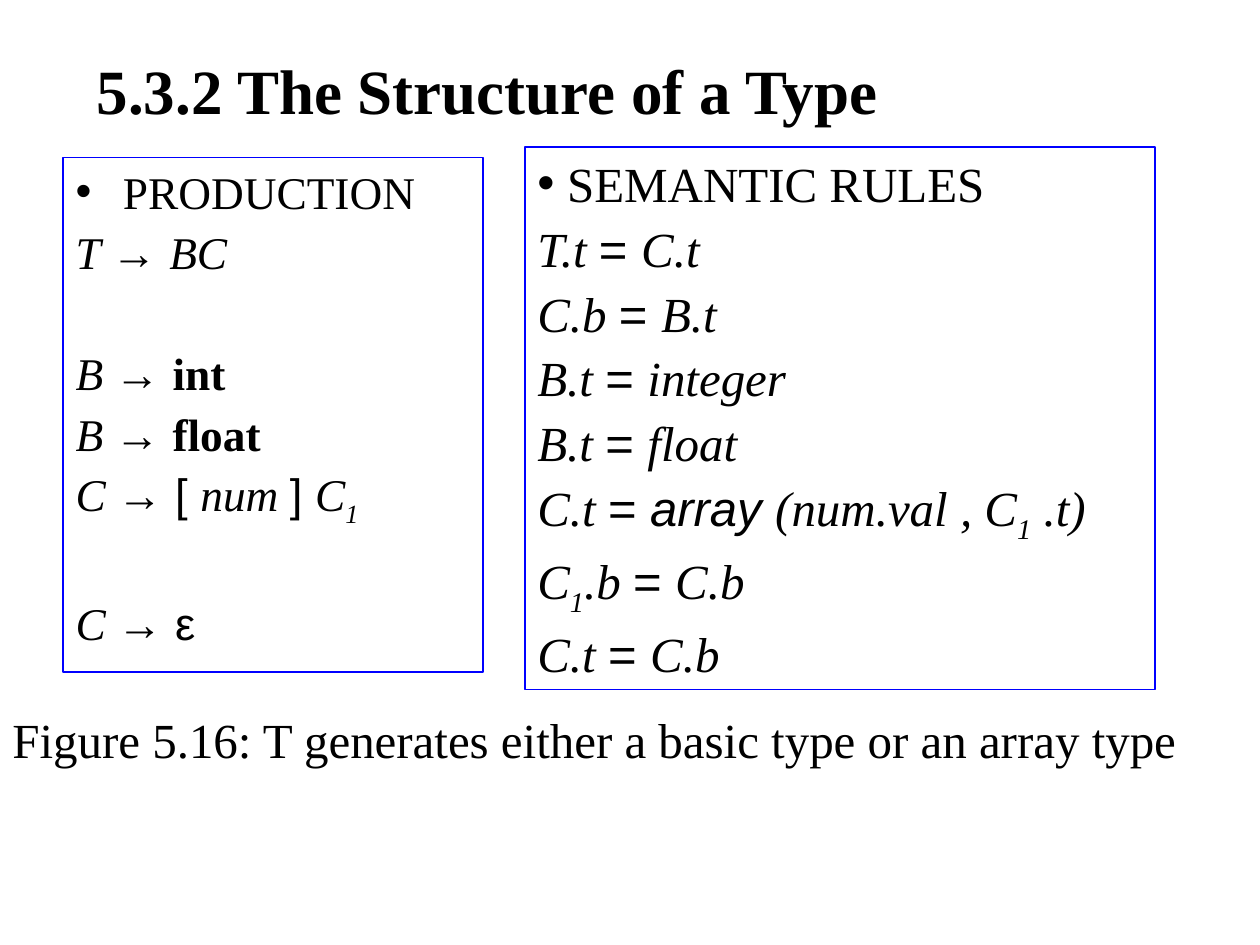
from lxml.etree import SubElement
from pptx import Presentation
from pptx.dml.color import RGBColor
from pptx.enum.text import MSO_ANCHOR, MSO_AUTO_SIZE, PP_ALIGN
from pptx.oxml.ns import qn
from pptx.util import Pt

BLACK = RGBColor(0, 0, 0)
BLUE = RGBColor(0, 0, 255)
SERIF = "Times New Roman"
SANS = "Arial"

# Span styles: font, italic, bold, subscript
TEXT = (SERIF, False, False, False)
SYMBOL = (SANS, False, False, False)
WORD = (SANS, True, False, False)
VARIABLE = (SERIF, True, False, False)
KEYWORD = (SERIF, False, True, False)
INDEX = (SERIF, True, False, True)

ARROW = ("→ ", SYMBOL)
EQUALS = ("= ", SYMBOL)


def rule(left, right):
    return [(left + " ", VARIABLE), EQUALS, (right, VARIABLE)]


PRODUCTIONS = [
    [("PRODUCTION", TEXT)],
    [("T ", VARIABLE), ARROW, ("BC", VARIABLE)],
    [("B ", VARIABLE), ARROW, ("int", KEYWORD)],
    [("B ", VARIABLE), ARROW, ("float", KEYWORD)],
    [("C ", VARIABLE), ("→ [ ", SYMBOL), ("num ", VARIABLE), ("] ", SYMBOL),
     ("C", VARIABLE), ("1", INDEX)],
    [("C ", VARIABLE), ("→ ε", SYMBOL)],
]
SEMANTIC_RULES = [
    [("SEMANTIC RULES", TEXT)],
    rule("T.t", "C.t"),
    rule("C.b", "B.t"),
    rule("B.t", "integer"),
    rule("B.t", "float"),
    [("C.t ", VARIABLE), EQUALS, ("array ", WORD), ("(num.val , C", VARIABLE),
     ("1", INDEX), (" .t)", VARIABLE)],
    [("C", VARIABLE), ("1", INDEX), (".b ", VARIABLE), EQUALS, ("C.b", VARIABLE)],
    rule("C.t", "C.b"),
]


class SlideBuilder:
    gap = 3.5
    line_ratio = 1.2

    def __init__(self, page):
        self.page = page

    def place(self, box, left, top, width, height):
        box.left, box.top, box.width, box.height = map(Pt, (left, top, width, height))

    def format_span(self, span, size, style):
        font = span.font
        font.name, font.italic, font.bold, subscript = style
        font.size = Pt(size)
        font.color.rgb = BLACK
        if subscript:
            font._element.set("baseline", "-25000")

    def title(self, text, *place):
        box = self.page.shapes.title
        self.place(box, *place)
        frame = box.text_frame
        frame.text = text
        frame.vertical_anchor = MSO_ANCHOR.MIDDLE
        frame.auto_size = MSO_AUTO_SIZE.NONE
        frame.paragraphs[0].alignment = PP_ALIGN.LEFT
        self.format_span(frame.paragraphs[0].runs[0], 36, KEYWORD)

    def set_bullet(self, para, indent, visible):
        properties = para._p.get_or_add_pPr()
        properties.set("marL", str(Pt(indent)))
        properties.set("indent", str(-Pt(indent)))
        if visible:
            color = SubElement(properties, qn("a:buClr"))
            SubElement(color, qn("a:srgbClr"), val=str(BLACK))
            SubElement(properties, qn("a:buFont"), typeface=SANS)
            SubElement(properties, qn("a:buChar"), char="•")
        else:
            SubElement(properties, qn("a:buNone"))

    def panel(self, box, lines, size, indent, after_gap=()):
        """Fill a framed box; lines numbered in after_gap follow an empty row."""
        box.line.color.rgb = BLUE
        box.line.width = Pt(0.75)
        frame = box.text_frame
        frame.word_wrap = True
        frame.vertical_anchor = MSO_ANCHOR.TOP
        for number, spans in enumerate(lines):
            para = frame.add_paragraph() if number else frame.paragraphs[0]
            self.set_bullet(para, indent, visible=number == 0)
            empty_row = size * self.line_ratio + self.gap if number in after_gap else 0
            para.space_before = Pt(self.gap + empty_row if number else 0)
            for text, style in spans:
                span = para.add_run()
                span.text = text
                self.format_span(span, size, style)

    def body_panel(self, lines, size, *place, **options):
        box = self.page.placeholders[1]
        self.place(box, *place)
        box.text_frame.auto_size = MSO_AUTO_SIZE.NONE
        self.panel(box, lines, size, **options)

    def text_panel(self, lines, size, *place, **options):
        box = self.page.shapes.add_textbox(*map(Pt, place))
        box.text_frame.auto_size = MSO_AUTO_SIZE.SHAPE_TO_FIT_TEXT
        self.panel(box, lines, size, **options)

    def caption(self, text, *place):
        frame = self.page.shapes.add_textbox(*map(Pt, place)).text_frame
        frame.text = text
        frame.word_wrap = False
        frame.auto_size = MSO_AUTO_SIZE.SHAPE_TO_FIT_TEXT
        self.format_span(frame.paragraphs[0].runs[0], 28, TEXT)


def main():
    deck = Presentation()
    deck.slide_width, deck.slide_height = Pt(720), Pt(540)
    builder = SlideBuilder(deck.slides.add_slide(deck.slide_layouts[1]))
    builder.title("5.3.2 The Structure of a Type", 48, 36, 612, 30)
    builder.body_panel(PRODUCTIONS, 25.9, 36, 90, 240, 294, indent=27, after_gap=(2, 5))
    builder.text_panel(SEMANTIC_RULES, 28, 300, 84, 360, 310, indent=17)
    builder.caption("Figure 5.16: T generates either a basic type or an array type",
                    0, 402, 680, 41)
    deck.save("out.pptx")


if __name__ == "__main__":
    main()
